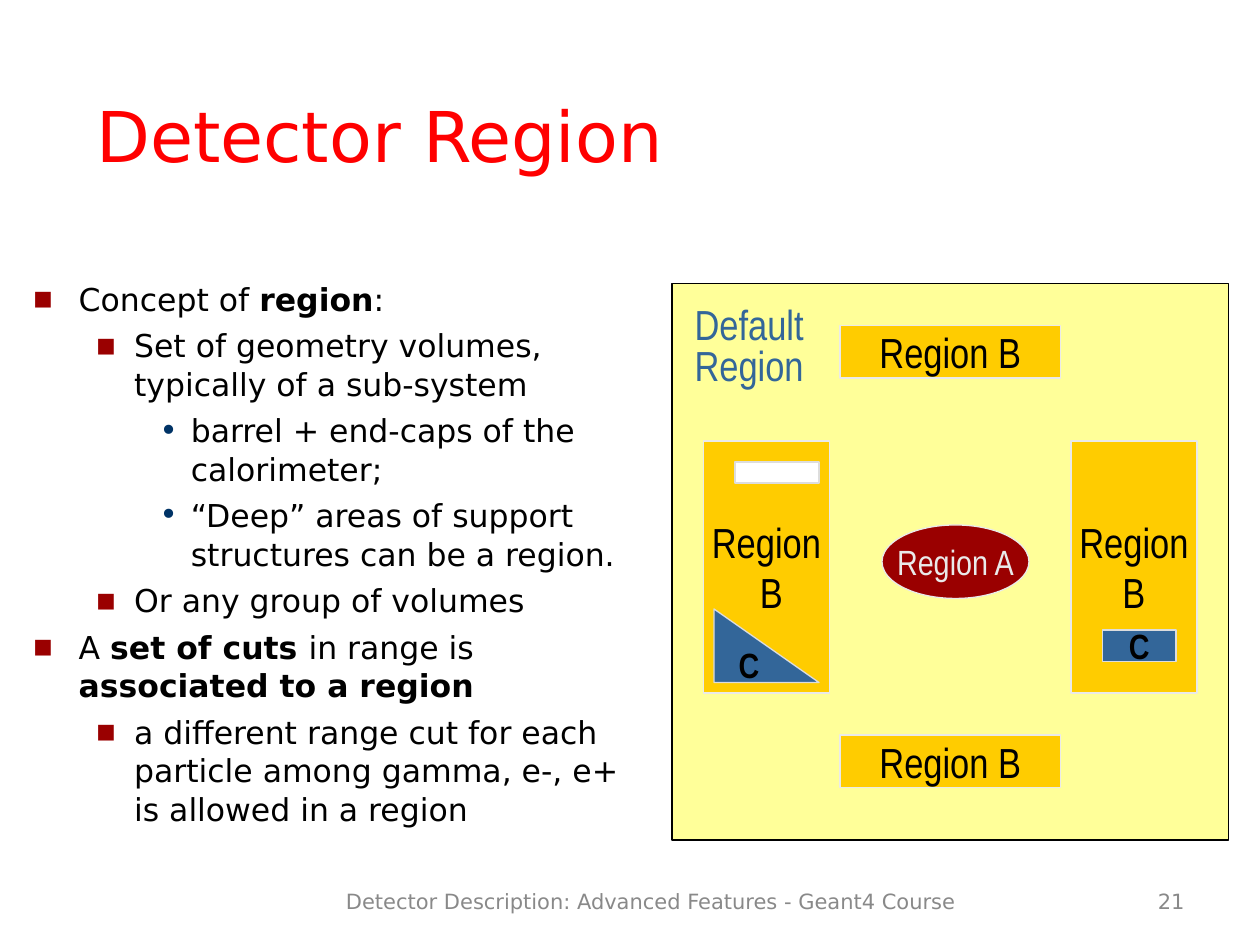
"""Build the Detector Region slide on a grid of 120 columns by 90 rows."""
from lxml.etree import fromstring
from pptx import Presentation
from pptx.dml.color import RGBColor
from pptx.enum.shapes import MSO_SHAPE
from pptx.enum.text import MSO_ANCHOR, MSO_AUTO_SIZE, PP_ALIGN
from pptx.util import Inches, Pt

NAMESPACE = "http://schemas.openxmlformats.org/drawingml/2006/main"
CELL = Inches(1) / 12
SANS, NARROW = "DejaVu Sans", "Arial Narrow"
BLACK, RED, BLUE, GOLD, PALE, SILVER = "000000", "9A0000", "336699", "FFCC00", "EAEAEA", "DDDDDD"


def color(value):
    """Turn a hex string into a colour."""
    return RGBColor.from_string(value)


def write(shape, lines, size, font_name, font_color, align=PP_ALIGN.CENTER, anchor=MSO_ANCHOR.MIDDLE, wrap=False):
    """Fill a shape with paragraphs; parts between asterisks are bold."""
    frame = shape.text_frame
    frame.word_wrap = wrap
    frame.vertical_anchor = anchor
    for index, line in enumerate(lines):
        paragraph = frame.paragraphs[0] if index == 0 else frame.add_paragraph()
        paragraph.alignment = align
        for part_index, part in enumerate(line.split("*")):
            if part:
                run = paragraph.add_run()
                run.text = part
                run.font.bold = part_index % 2 == 1
        for owner in (paragraph, *paragraph.runs):
            owner.font.size = Pt(size)
            owner.font.name = font_name
            owner.font.color.rgb = color(font_color)
    return frame.paragraphs


presentation = Presentation()
presentation.slide_width = Inches(10)
presentation.slide_height = Inches(7.5)
slide = presentation.slides.add_slide(presentation.slide_layouts[6])

title = slide.shapes.add_textbox(*(int(CELL * n) for n in (8, 8, 107, 9.4)))
write(title, ["Detector Region"], 40, SANS, "FF0000", PP_ALIGN.LEFT, MSO_ANCHOR.BOTTOM, True)[0].line_spacing = 1.02

outline = [
    (0, "Concept of *region*:"),
    (1, "Set of geometry volumes, typically of a sub-system"),
    (2, "barrel + end-caps of the calorimeter;"),
    (2, "“Deep” areas of support structures can be a region."),
    (1, "Or any group of volumes"),
    (0, "A *set of cuts *in range is *associated to a region*"),
    (1, "a different range cut for each particle among gamma, e-, e+ is allowed in a region"),
]
bullet_styles = [(0.36, 0.36, "■", RED, 65), (0.8, 0.3, "■", RED, 65), (1.25, 0.25, "•", "003366", 100)]
body = slide.shapes.add_textbox(*(int(CELL * n) for n in (2, 26, 61, 54)))
paragraphs = write(body, [text for _, text in outline], 18, SANS, BLACK, PP_ALIGN.LEFT, MSO_ANCHOR.TOP, True)
for paragraph, (level, _) in zip(paragraphs, outline):
    margin, hanging, character, bullet_color, percent = bullet_styles[level]
    paragraph.level = level
    paragraph.line_spacing = 1.02
    paragraph.space_before = Pt(4.5)
    properties = paragraph._p.get_or_add_pPr()
    properties.set("marL", str(Inches(margin)))
    properties.set("indent", str(-Inches(hanging)))
    bullet = fromstring(
        f'<a:bullet xmlns:a="{NAMESPACE}"><a:buClr><a:srgbClr val="{bullet_color}"/></a:buClr>'
        f'<a:buSzPct val="{percent * 1000}"/><a:buFont typeface="{SANS}"/>'
        f'<a:buChar char="{character}"/></a:bullet>')
    font_defaults = properties[-1]
    for element in list(bullet):
        font_defaults.addprevious(element)

RECTANGLE, OVAL, TRIANGLE = MSO_SHAPE.RECTANGLE, MSO_SHAPE.OVAL, MSO_SHAPE.RIGHT_TRIANGLE
detector = slide.shapes.add_group_shape()
volumes = [
    (RECTANGLE, (64, 27, 53, 53), "FFFF99", BLACK, [], 24, BLACK),
    (RECTANGLE, (67, 42, 12, 24), GOLD, PALE, ["Region", " B"], 24, BLACK),
    (RECTANGLE, (102, 42, 12, 24), GOLD, PALE, ["Region", "B"], 24, BLACK),
    (RECTANGLE, (80, 31, 21, 5), GOLD, PALE, ["Region B"], 24, BLACK),
    (RECTANGLE, (80, 70, 21, 5), GOLD, PALE, ["Region B"], 24, BLACK),
    (OVAL, (84, 50, 14, 7), RED, PALE, ["Region A"], 20, PALE),
    (RECTANGLE, (70, 44, 8, 2), "FFFFFF", SILVER, [], 20, BLACK),
    (RECTANGLE, (105, 60, 7, 3), BLUE, SILVER, ["*C*"], 20, BLACK),
    (TRIANGLE, (68, 58, 10, 7), BLUE, SILVER, ["*C*"], 20, BLACK),
]
for kind, cells, fill, line, lines, size, font_color in volumes:
    volume = detector.shapes.add_shape(kind, *(int(CELL * n) for n in cells))
    volume.shadow.inherit = False
    volume.fill.solid()
    volume.fill.fore_color.rgb = color(fill)
    volume.line.color.rgb = color(line)
    volume.line.width = Pt(0.75)
    write(volume, lines, size, NARROW, font_color)

default_label = detector.shapes.add_textbox(*(int(CELL * n) for n in (65, 28.8, 12.7, 8.9)))
default_label.text_frame.auto_size = MSO_AUTO_SIZE.SHAPE_TO_FIT_TEXT
default_label.text_frame.margin_left = default_label.text_frame.margin_right = Inches(0.05)
for paragraph in write(default_label, ["Default", "Region"], 24, NARROW, BLUE, anchor=MSO_ANCHOR.TOP):
    paragraph.line_spacing = 0.8

for left, width, text, align in [
    (28, 68, "Detector Description: Advanced Features - Geant4 Course", PP_ALIGN.CENTER),
    (103, 11, "21", PP_ALIGN.RIGHT),
]:
    footer = slide.shapes.add_textbox(*(int(CELL * n) for n in (left, 83.4, width, 4.8)))
    write(footer, [text], 12, SANS, "898989", align, wrap=True)

presentation.save("out.pptx")
